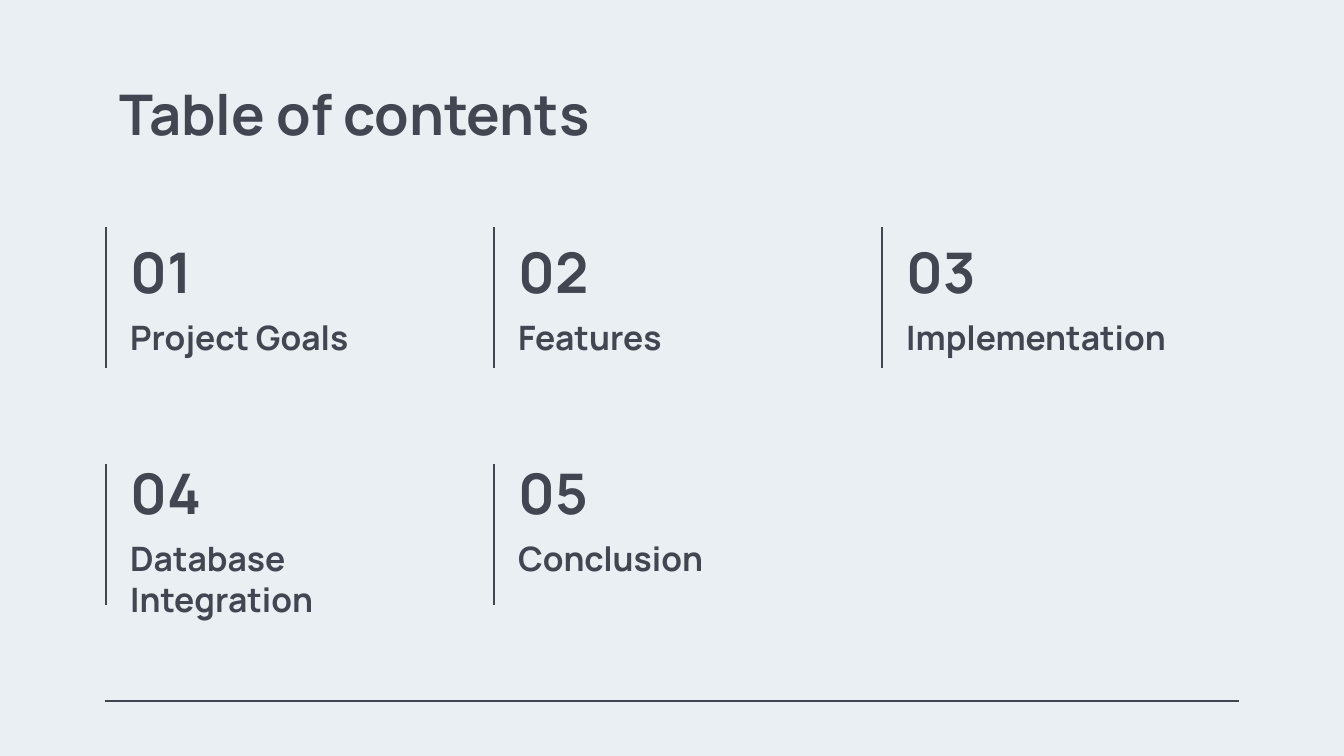
from lxml.etree import SubElement
from pptx import Presentation
from pptx.dml.color import RGBColor
from pptx.enum.shapes import MSO_CONNECTOR
from pptx.enum.text import MSO_ANCHOR
from pptx.oxml.ns import qn
from pptx.util import Emu, Inches, Pt

COLOURS = {"background": "EAEFF4", "ink": "424651"}
FORMATS = {
    "heading": {"name": "Manrope", "size": Pt(30), "bold": True},
    "topic": {"name": "Manrope", "size": Pt(18), "bold": True},
}
TOPICS = ["Project Goals", "Features", "Implementation", "Database Integration", "Conclusion"]
COLUMNS = 3
GRID_LEFT, GRID_WIDTH = 106, 1165
ROWS = [{"rule_top": 227, "text_top": 233}, {"rule_top": 464, "text_top": 454}]


def px(length):
    """Turn pixels at 134.4 to the inch into EMU."""
    return Emu(round(length * Inches(1) / 134.4))


def add_text(slide, box, text, style, anchor=MSO_ANCHOR.TOP):
    """Place one line of styled text in a box of left, top, width and height."""
    frame = slide.shapes.add_textbox(*map(px, box)).text_frame
    margins = {f"margin_{side}": Inches(0.1) for side in ("left", "top", "right", "bottom")}
    for name, value in {"word_wrap": True, "vertical_anchor": anchor, **margins}.items():
        setattr(frame, name, value)
    run = frame.paragraphs[0].add_run()
    run.text = text
    for name, value in FORMATS[style].items():
        setattr(run.font, name, value)
    run.font.color.rgb = RGBColor.from_string(COLOURS["ink"])


def add_rule(slide, *ends):
    """Draw a thin straight line between two points."""
    rule = slide.shapes.add_connector(MSO_CONNECTOR.STRAIGHT, *map(px, ends))
    rule.line.width = Pt(0.75)
    rule.line.color.rgb = RGBColor.from_string(COLOURS["ink"])
    SubElement(rule._element.spPr, qn("a:effectLst"))


def add_entry(slide, left, rule_top, text_top, number, topic):
    """Build one numbered entry with its rule on the left."""
    text_left = left + 11
    add_rule(slide, left, rule_top + 141, left, rule_top)
    add_text(slide, (text_left, text_top, 108, 85), f"{number:02}", "heading", MSO_ANCHOR.BOTTOM)
    add_text(slide, (text_left, text_top + 71, 345, 65), topic, "topic")


def add_contents(slide, left, width):
    """Lay the entries out row by row in equal columns."""
    for index, topic in enumerate(TOPICS):
        row, column = divmod(index, COLUMNS)
        entry_left = left + width * column // COLUMNS
        add_entry(slide, entry_left, **ROWS[row], number=index + 1, topic=topic)


def main():
    """Build the contents slide and save it."""
    presentation = Presentation()
    presentation.slide_width, presentation.slide_height = px(1344), px(756)
    slide = presentation.slides.add_slide(presentation.slide_layouts[6])
    fill = slide.background.fill
    fill.solid()
    fill.fore_color.rgb = RGBColor.from_string(COLOURS["background"])
    add_rule(slide, 105, 701, 1239, 701)
    add_text(slide, (106, 66, 1133, 85), "Table of contents", "heading")
    add_contents(slide, GRID_LEFT, GRID_WIDTH)
    presentation.save("out.pptx")


if __name__ == "__main__":
    main()
